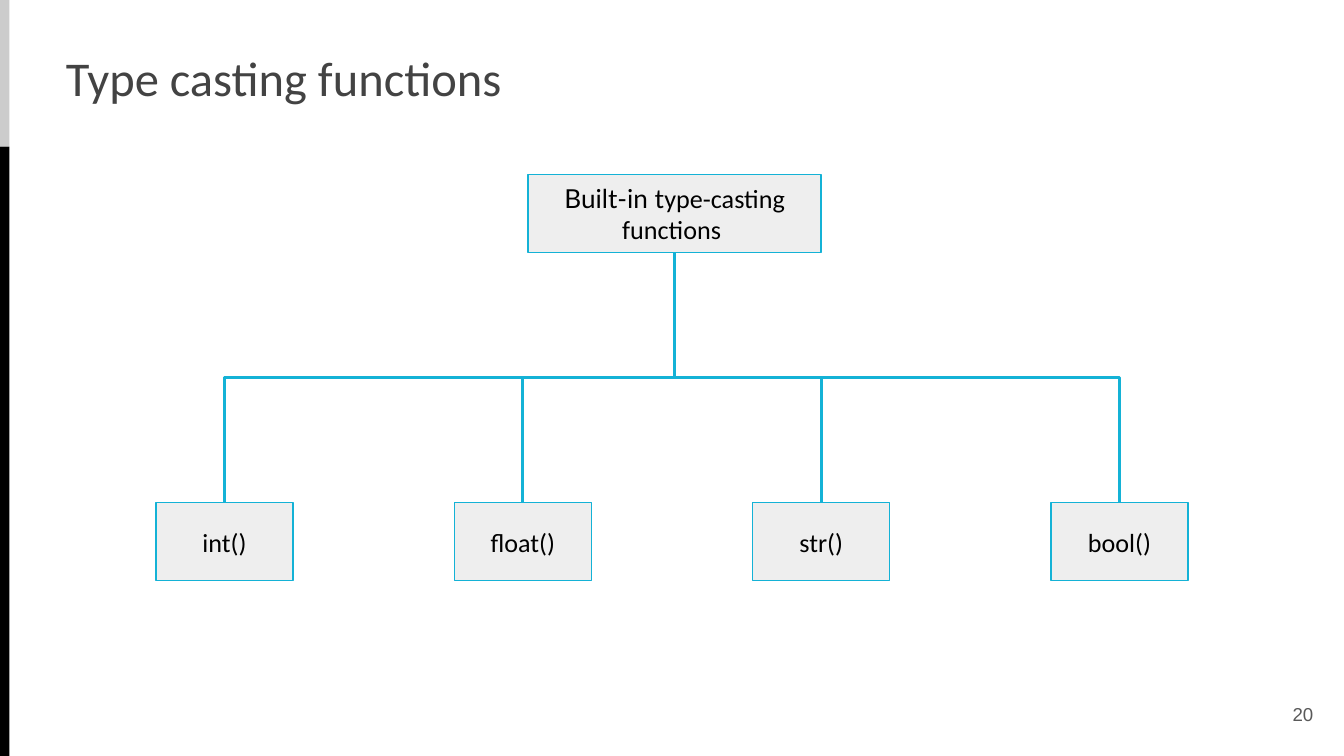
from dataclasses import dataclass

from lxml import etree
from pptx import Presentation
from pptx.dml.color import RGBColor
from pptx.enum.shapes import MSO_CONNECTOR, MSO_SHAPE
from pptx.enum.text import MSO_ANCHOR, MSO_AUTO_SIZE, PP_ALIGN
from pptx.oxml.ns import qn
from pptx.util import Inches, Pt

RECT = MSO_SHAPE.RECTANGLE
ELBOW = MSO_CONNECTOR.ELBOW
MIDDLE = MSO_ANCHOR.MIDDLE
NO_FIT = MSO_AUTO_SIZE.NONE
LEFT, CENTER, RIGHT = PP_ALIGN.LEFT, PP_ALIGN.CENTER, PP_ALIGN.RIGHT
TOP_SIDE, BOTTOM_SIDE = 0, 2
SLIDE_WIDTH = 10
SLIDE_HEIGHT = SLIDE_WIDTH * 9 / 16

COLORS = {
    "bar_light": "CCCCCC",
    "bar_dark": "000000",
    "box": "EEEEEE",
    "accent": "14B2D6",
    "text": "000000",
    "title": "434343",
    "number": "595959",
}
FRAME = {
    "margin_left": Inches(0.1),
    "margin_right": Inches(0.1),
    "margin_top": Inches(0.1),
    "margin_bottom": Inches(0.1),
    "vertical_anchor": MIDDLE,
    "word_wrap": True,
    "auto_size": NO_FIT,
}


@dataclass
class Run:
    text: str
    font: str = "Calibri"
    size: float = 14
    color: str = "text"


@dataclass
class Box:
    left: float
    top: float
    width: float
    height: float


def rgb(name: str) -> RGBColor:
    return RGBColor.from_string(COLORS[name])


def write(s, runs: list[Run], align) -> None:
    tf = s.text_frame
    for name, value in FRAME.items():
        setattr(tf, name, value)
    p = tf.paragraphs[0]
    p.alignment = align
    for run in runs:
        r = p.add_run()
        r.text = run.text
        for name, value in {"name": run.font, "size": Pt(run.size)}.items():
            setattr(r.font, name, value)
        r.font.color.rgb = rgb(run.color)


def lengths(box: Box) -> list[int]:
    return [Inches(v) for v in (box.left, box.top, box.width, box.height)]


def add_rect(slide, box: Box, fill: str):
    s = slide.shapes.add_shape(RECT, *lengths(box))
    s.shadow.inherit = False
    s.fill.solid()
    s.fill.fore_color.rgb = rgb(fill)
    s.line.fill.background()
    return s


def add_node(slide, box: Box, runs: list[Run]):
    s = add_rect(slide, box, "box")
    s.line.color.rgb = rgb("accent")
    s.line.width = Pt(0.75)
    write(s, runs, CENTER)
    return s


def add_branch(slide, parent, child) -> None:
    c = slide.shapes.add_connector(ELBOW, 0, 0, 0, 0)
    c.begin_connect(parent, BOTTOM_SIDE)
    c.end_connect(child, TOP_SIDE)
    x1, y1 = parent.left + parent.width // 2, parent.top + parent.height
    x2, y2 = child.left + child.width // 2, child.top
    drop, run = y2 - y1, abs(x2 - x1)
    c.left, c.top = (x1 + x2 - drop) // 2, (y1 + y2 - run) // 2
    c.width, c.height = drop, run
    rightward = x2 > x1
    xfrm = c._element.spPr.find(qn("a:xfrm"))
    xfrm.set("rot", str((270 if rightward else 90) * 60000))
    xfrm.set("flipH", "1" if rightward else "0")
    xfrm.set("flipV", "0")
    c.line.color.rgb = rgb("accent")
    c.line.width = Pt(1.5)
    etree.SubElement(c._element.spPr, qn("a:effectLst"))


def main() -> None:
    prs = Presentation()
    prs.slide_width, prs.slide_height = Inches(SLIDE_WIDTH), Inches(SLIDE_HEIGHT)
    slide = prs.slides.add_slide(prs.slide_layouts[5])

    add_rect(slide, Box(0, 0, 0.07, 1.09), "bar_light")
    add_rect(slide, Box(0, 1.09, 0.07, SLIDE_HEIGHT - 1.09), "bar_dark")

    title = slide.shapes.title
    title.left, title.top, title.width, title.height = lengths(
        Box(0.39, 0.39, 4.72, 0.37))
    write(title, [Run("Type casting functions", size=26, color="title")], LEFT)

    root = add_node(slide, Box(3.93, 1.3, 2.18, 0.58),
                    [Run("Built-in t", "Lato"), Run("ype-casting functions ")])
    for i, name in enumerate(["int()", "float()", "str()", "bool()"]):
        leaf = add_node(slide, Box(1.16 + 2.22 * i, 3.74, 1.02, 0.58), [Run(name)])
        add_branch(slide, root, leaf)

    number = slide.shapes.add_textbox(*lengths(Box(9.27, 5.1, 0.6, 0.43)))
    write(number, [Run("20", "Arial", 10, "number")], RIGHT)

    prs.save("out.pptx")


if __name__ == "__main__":
    main()
